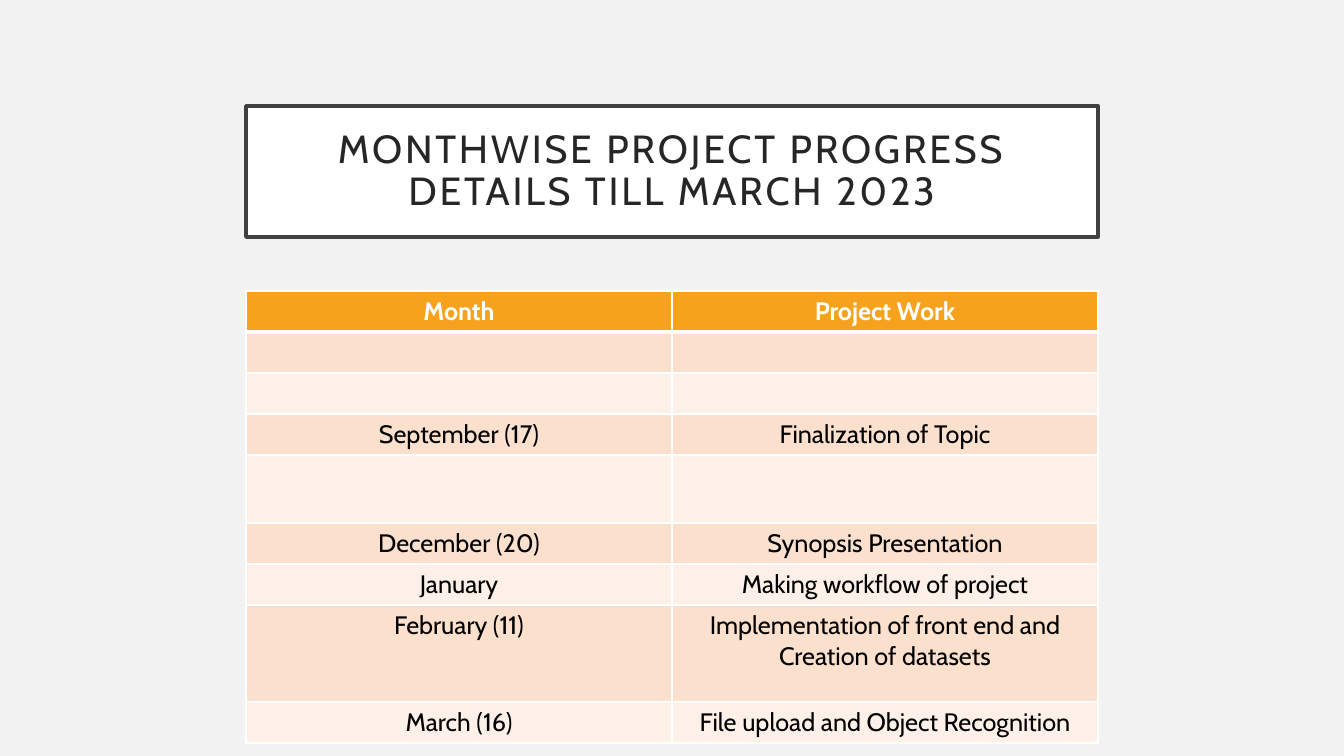
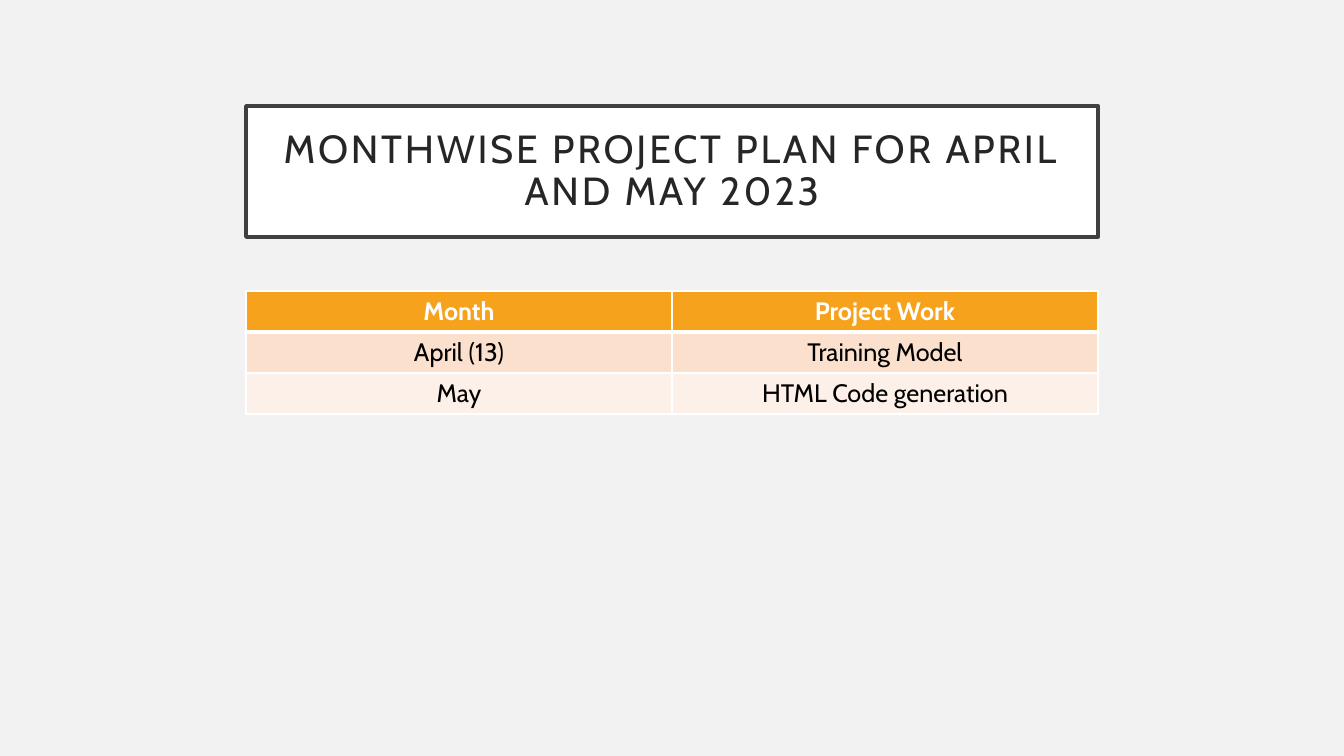
from lxml import etree
from pptx import Presentation
from pptx import util as u
from pptx.dml.color import RGBColor
from pptx.enum import text
from pptx.oxml.ns import qn

WIDE, HIGH = 1344, 756
SCALE = 12192000 / WIDE
FONT = "Cabin"
LEFT, WIDTH = 246, 852
ROW = 41

PAPER = RGBColor(0xF2, 0xF2, 0xF2)
WHITE = RGBColor(0xFF, 0xFF, 0xFF)
BLACK = RGBColor(0x00, 0x00, 0x00)
INK = RGBColor(0x26, 0x26, 0x26)
FRAME = RGBColor(0x40, 0x40, 0x40)
ORANGE = RGBColor(0xF6, 0xA2, 0x1D)
BANDS = (RGBColor(0xFD, 0xF0, 0xE8), RGBColor(0xFB, 0xE0, 0xCD))

HEADER = ("Month", "Project Work")
DONE = [
    ("", ""),
    ("", ""),
    ("September (17)", "Finalization of Topic"),
    ("", ""),
    ("December (20)", "Synopsis Presentation"),
    ("January", "Making workflow of project"),
    ("February (11)", "Implementation of front end and Creation of datasets"),
    ("March (16)", "File upload and Object Recognition"),
]
PLAN = [
    ("April (13)", "Training Model"),
    ("May", "HTML Code generation"),
]


def px(count):
    return u.Emu(round(count * SCALE))


def write(frame, words, size, color, bold=False):
    """Fill the first paragraph with one centred run and return the run."""
    para = frame.paragraphs[0]
    para.alignment = text.PP_ALIGN.CENTER
    run = para.add_run()
    run.text = words
    font = run.font
    font.name, font.size, font.bold = FONT, u.Pt(size), bold
    font.color.rgb = color
    return run


def add_title(slide, words):
    title = slide.shapes.title
    title.left, title.top = px(LEFT), px(106)
    title.width, title.height = px(WIDTH), px(131)
    title.fill.solid()
    title.fill.fore_color.rgb = WHITE
    title.line.color.rgb = FRAME
    title.line.width = u.Pt(2.5)

    frame = title.text_frame
    frame.word_wrap = True
    frame.auto_size = text.MSO_AUTO_SIZE.NONE
    frame.vertical_anchor = text.MSO_ANCHOR.MIDDLE
    frame.margin_left = frame.margin_right = px(20)
    frame.margin_top = frame.margin_bottom = px(20)
    run = write(frame, words, 28, INK)
    run.font._element.set("spc", "200")
    frame.paragraphs[0].line_spacing = 0.9


def add_edges(cell, top, bottom):
    """Draw white cell borders; widths are in points."""
    props = cell._tc.get_or_add_tcPr()
    for side, width in (("L", 1), ("R", 1), ("T", top), ("B", bottom)):
        line = etree.SubElement(props, qn(f"a:ln{side}"), w=str(u.Pt(width)))
        fill = etree.SubElement(line, qn("a:solidFill"))
        etree.SubElement(fill, qn("a:srgbClr"), val=str(WHITE))


def add_table(slide, body, tall=None):
    """Draw header and body; tall maps a row number to its height in px."""
    rows = [HEADER] + body
    sizes = [(tall or {}).get(row, ROW) for row in range(len(rows))]
    table = slide.shapes.add_table(
        len(rows), len(HEADER), px(LEFT), px(291), px(WIDTH), px(sum(sizes))
    ).table
    for row, (labels, size) in enumerate(zip(rows, sizes)):
        table.rows[row].height = px(size)
        head = row == 0
        for col, label in enumerate(labels):
            cell = table.cell(row, col)
            add_edges(cell, 3 if row == 1 else 1, 3 if head else 1)
            cell.fill.solid()
            cell.fill.fore_color.rgb = ORANGE if head else BANDS[row % 2]
            if label:
                write(cell.text_frame, label, 18, WHITE if head else BLACK, head)


def add_slide(deck, title, body, tall=None):
    slide = deck.slides.add_slide(deck.slide_layouts[5])
    add_title(slide, title)
    add_table(slide, body, tall)


def main():
    deck = Presentation()
    deck.slide_width, deck.slide_height = px(WIDE), px(HIGH)
    back = deck.slide_master.background.fill
    back.solid()
    back.fore_color.rgb = PAPER

    add_slide(deck, "MONTHWISE PROJECT PROGRESS DETAILS TILL MARCH 2023",
              DONE, {4: 68, 7: 97})
    add_slide(deck, "MONTHWISE PROJECT PLAN FOR APRIL AND MAY 2023", PLAN)
    deck.save("out.pptx")


if __name__ == "__main__":
    main()
